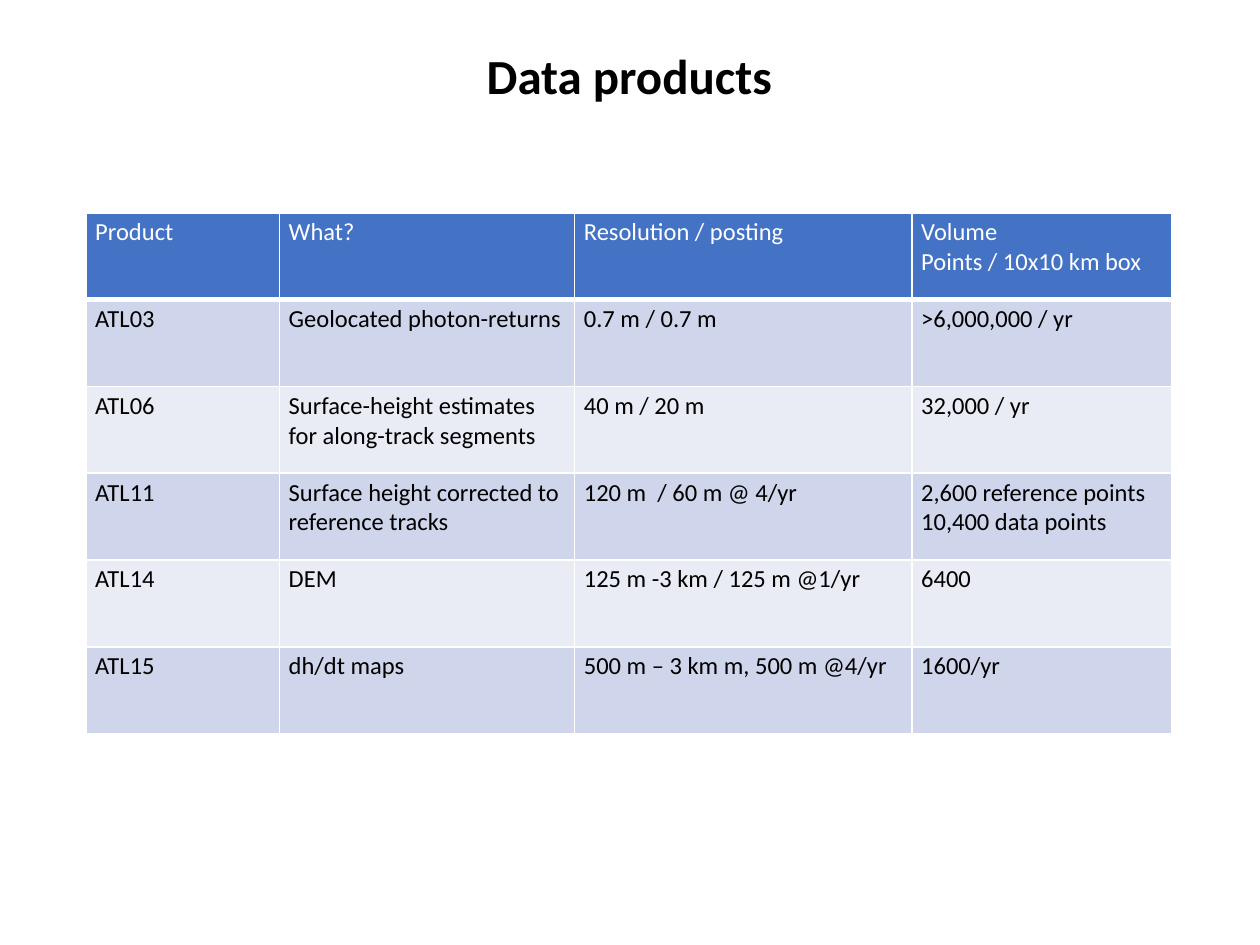
"""Build a slide with a table of data products."""
from lxml import etree
from pptx import Presentation
from pptx import util as u
from pptx.dml.color import RGBColor
from pptx.enum import text
from pptx.oxml.ns import qn


def add_text(paragraph, content, size, color, bold=False):
    run = paragraph.add_run()
    run.text = content
    run.font.name = "Calibri"
    run.font.size = u.Pt(size)
    run.font.bold = bold
    run.font.color.rgb = RGBColor.from_string(color)


def add_borders(cell, color, widths):
    properties = cell._tc.get_or_add_tcPr()
    for position, (side, width) in enumerate(widths.items()):
        line = etree.Element(qn(f"a:ln{side}"), w=str(u.Pt(width)))
        fill = etree.SubElement(line, qn("a:solidFill"))
        etree.SubElement(fill, qn("a:srgbClr"), val=color)
        properties.insert(position, line)


presentation = Presentation()
presentation.slide_width = u.Cm(25.4)
presentation.slide_height = u.Cm(19.05)
slide = presentation.slides.add_slide(presentation.slide_layouts[6])

rows = [
    ("Product", "What?", "Resolution / posting", "Volume\nPoints / 10x10 km box"),
    ("ATL03", "Geolocated photon-returns", "0.7 m / 0.7 m", ">6,000,000 / yr"),
    ("ATL06", "Surface-height estimates for along-track segments",
     "40 m / 20 m", "32,000 / yr"),
    ("ATL11", "Surface height corrected to reference tracks",
     "120 m  / 60 m @ 4/yr", "2,600 reference points\n10,400 data points"),
    ("ATL14", "DEM", "125 m -3 km / 125 m @1/yr", "6400"),
    ("ATL15", "dh/dt maps", "500 m – 3 km m, 500 m @4/yr", "1600/yr"),
]
column_widths = [3.9, 5.95, 6.8, 5.25]
row_height = 1.75

table = slide.shapes.add_table(
    len(rows), len(column_widths), u.Cm(1.73), u.Cm(4.29),
    u.Cm(sum(column_widths)), u.Cm(row_height * len(rows))).table
for column, width in zip(table.columns, column_widths):
    column.width = u.Cm(width)

for row_index, row in enumerate(rows):
    table.rows[row_index].height = u.Cm(row_height)
    header = row_index == 0
    fill_color = "4472C4" if header else ("E9EBF5", "CFD5EA")[row_index % 2]
    for column_index, content in enumerate(row):
        cell = table.cell(row_index, column_index)
        cell.margin_left = cell.margin_right = u.Cm(0.19)
        cell.margin_top = cell.margin_bottom = u.Cm(0.09)
        cell.fill.solid()
        cell.fill.fore_color.rgb = RGBColor.from_string(fill_color)
        add_borders(cell, "FFFFFF", {"L": 1, "R": 1, "T": 1, "B": 3 if header else 1})
        for line_index, line in enumerate(content.split("\n")):
            frame = cell.text_frame
            paragraph = frame.add_paragraph() if line_index else frame.paragraphs[0]
            add_text(paragraph, line, 14, "FFFFFF" if header else "000000")

title = slide.shapes.add_textbox(u.Cm(0), u.Cm(0.79), u.Cm(25.37), u.Cm(1.45))
title.text_frame.word_wrap = True
title.text_frame.auto_size = text.MSO_AUTO_SIZE.SHAPE_TO_FIT_TEXT
paragraph = title.text_frame.paragraphs[0]
paragraph.alignment = text.PP_ALIGN.CENTER
add_text(paragraph, "Data products", 28, "000000", bold=True)

presentation.save("out.pptx")
